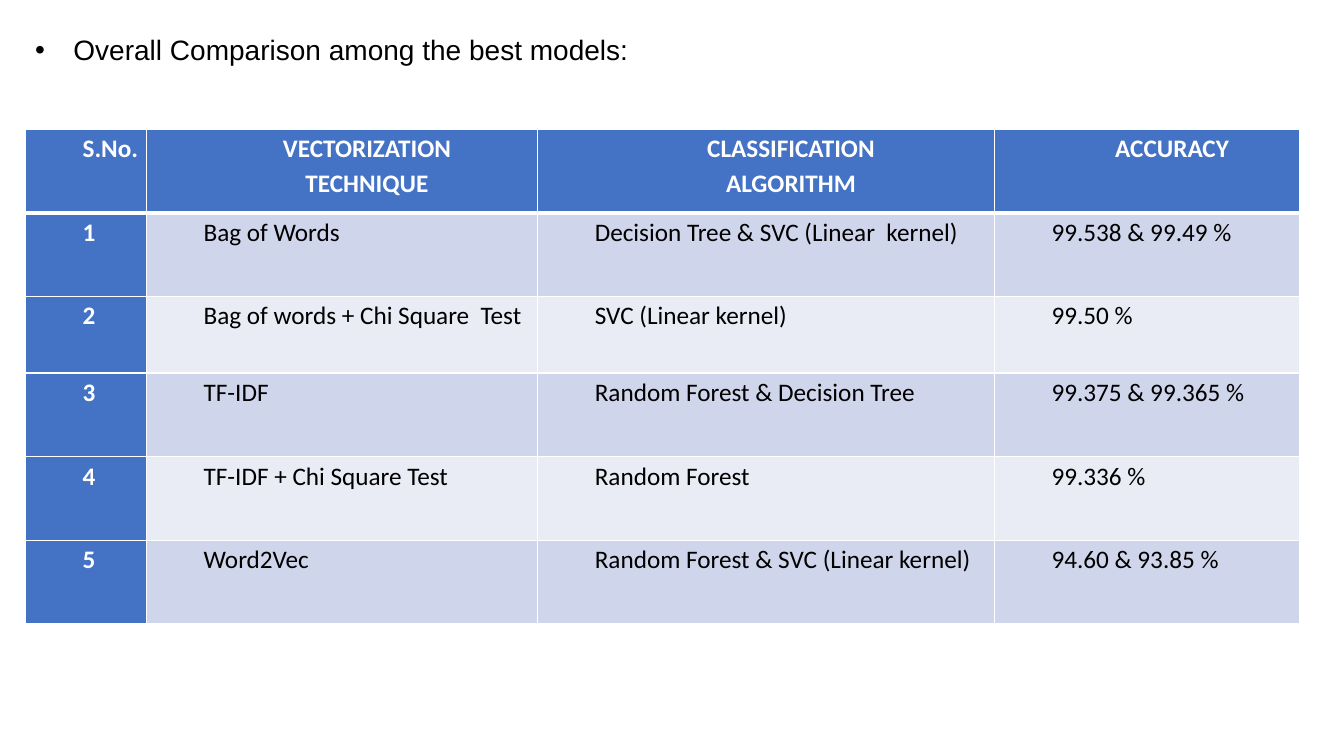
from lxml.etree import SubElement
from pptx import Presentation
from pptx.dml.color import RGBColor
from pptx.enum.text import MSO_ANCHOR, PP_ALIGN
from pptx.oxml.ns import qn
from pptx.util import Inches, Pt

BLACK = RGBColor(0x00, 0x00, 0x00)
WHITE = RGBColor(0xFF, 0xFF, 0xFF)
HEADER_BLUE = RGBColor(0x44, 0x72, 0xC4)
BANDS = (RGBColor(0xCF, 0xD5, 0xEA), RGBColor(0xE9, 0xEB, 0xF5))

MARGIN = 0.25
COLUMN_WIDTHS = (1.2, 3.88, 4.53, 3.03)
ROW_HEIGHTS = (0.83, 0.83, 0.76, 0.83, 0.83, 0.83)
THIN, THICK = Pt(1), Pt(3)

HEADING = "Overall Comparison among the best models:"
MODEL_ROWS = (
    ("S.No.", "VECTORIZATION\nTECHNIQUE", "CLASSIFICATION\nALGORITHM", "ACCURACY"),
    ("1", "Bag of Words", "Decision Tree & SVC (Linear  kernel)", "99.538 & 99.49 %"),
    ("2", "Bag of words + Chi Square  Test", "SVC (Linear kernel)", "99.50 %"),
    ("3", "TF-IDF", "Random Forest & Decision Tree", "99.375 & 99.365 %"),
    ("4", "TF-IDF + Chi Square Test", "Random Forest", "99.336 %"),
    ("5", "Word2Vec", "Random Forest & SVC (Linear kernel)", "94.60 & 93.85 %"),
)


def style_runs(paragraph, font_name, size, color, bold=False):
    for run in paragraph.runs:
        run.font.name = font_name
        run.font.size = Pt(size)
        run.font.color.rgb = color
        run.font.bold = bold


def set_indent(paragraph, left, first_line):
    properties = paragraph._p.get_or_add_pPr()
    properties.set("marL", str(Inches(left)))
    properties.set("indent", str(Inches(first_line)))
    return properties


def add_heading(slide, left, top, width, height):
    box = slide.shapes.add_textbox(*map(Inches, (left, top, width, height)))
    frame = box.text_frame
    frame.word_wrap = True
    frame.vertical_anchor = MSO_ANCHOR.MIDDLE
    frame.text = HEADING
    paragraph = frame.paragraphs[0]
    paragraph.line_spacing = 0.9
    properties = set_indent(paragraph, 0.38, -0.38)
    SubElement(properties, qn("a:buFont"), typeface="Arial")
    SubElement(properties, qn("a:buChar"), char="•")
    style_runs(paragraph, "Arial", 20, BLACK)


def set_borders(cell, top, bottom):
    """Draw white cell borders; top and bottom are line widths."""
    properties = cell._tc.get_or_add_tcPr()
    for side, width in (("L", THIN), ("R", THIN), ("T", top), ("B", bottom)):
        line = SubElement(properties, qn(f"a:ln{side}"), w=str(width))
        fill = SubElement(line, qn("a:solidFill"))
        SubElement(fill, qn("a:srgbClr"), val=str(WHITE))


def fill_cell(cell, text, row, column):
    is_header = row == 0
    is_accent = is_header or column == 0
    set_borders(cell, THICK if row == 1 else THIN, THICK if is_header else THIN)
    cell.fill.solid()
    cell.fill.fore_color.rgb = HEADER_BLUE if is_accent else BANDS[(row - 1) % 2]
    cell.margin_left = cell.margin_right = Inches(0.07)
    cell.margin_top = cell.margin_bottom = 0
    cell.text_frame.text = text
    for paragraph in cell.text_frame.paragraphs:
        centred = is_header and column > 0
        paragraph.alignment = PP_ALIGN.CENTER if centred else PP_ALIGN.LEFT
        paragraph.line_spacing = 1.15
        set_indent(paragraph, 0, 0.5)
        style_runs(paragraph, "Calibri", 18, WHITE if is_accent else BLACK, is_accent)


def add_model_table(slide, left, top):
    size = (sum(COLUMN_WIDTHS), sum(ROW_HEIGHTS))
    frame = slide.shapes.add_table(
        len(ROW_HEIGHTS), len(COLUMN_WIDTHS), *map(Inches, (left, top, *size)))
    table = frame.table
    table.first_col = True
    for column, width in zip(table.columns, COLUMN_WIDTHS):
        column.width = Inches(width)
    for row, height in zip(table.rows, ROW_HEIGHTS):
        row.height = Inches(height)
    for row, texts in enumerate(MODEL_ROWS):
        for column, text in enumerate(texts):
            fill_cell(table.cell(row, column), text, row, column)


def main():
    presentation = Presentation()
    presentation.slide_width = Inches(13.33)
    presentation.slide_height = Inches(7.5)
    slide = presentation.slides.add_slide(presentation.slide_layouts[6])
    add_heading(slide, MARGIN, 0, 12.17, 1.02)
    add_model_table(slide, MARGIN, 1.28)
    presentation.save("out.pptx")


if __name__ == "__main__":
    main()
